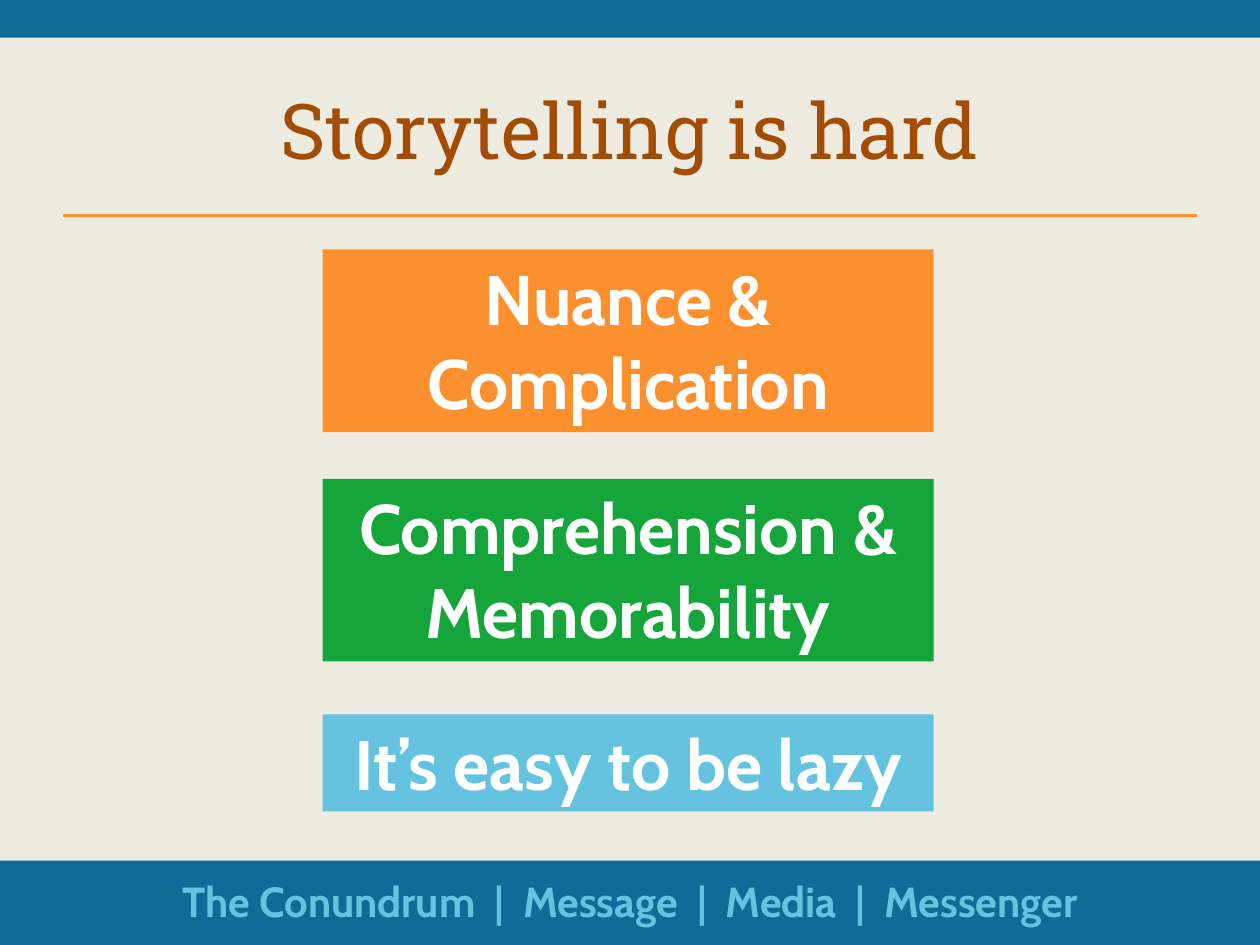
from dataclasses import dataclass

from lxml.etree import SubElement
from pptx import Presentation
from pptx.dml.color import RGBColor
from pptx.enum.shapes import MSO_CONNECTOR, MSO_SHAPE
from pptx.enum.text import MSO_ANCHOR, MSO_AUTO_SIZE, PP_ALIGN
from pptx.oxml.ns import qn
from pptx.util import Inches, Pt

BLUE, ORANGE, GREEN, SKY = "0D6D97", "FD902E", "15A53B", "65C3DF"


@dataclass
class Banner:
    text: str
    top: float
    height: float
    fill: str


BANNERS = [
    Banner("Nuance & Complication", 1.98, 1.45, ORANGE),
    Banner("Comprehension & Memorability", 3.8, 1.45, GREEN),
    Banner("It’s easy to be lazy", 5.67, 0.77, SKY),
]


def rgb(value: str) -> RGBColor:
    return RGBColor.from_string(value)


def box(left: float, top: float, width: float, height: float) -> list:
    return [Inches(v) for v in (left, top, width, height)]


def add_rect(s, left: float, top: float, width: float, height: float, fill: str):
    sp = s.shapes.add_shape(MSO_SHAPE.RECTANGLE, *box(left, top, width, height))
    sp.shadow.inherit = False
    sp.fill.solid()
    sp.fill.fore_color.rgb = rgb(fill)
    sp.line.fill.background()
    return sp


def set_text(sp, text: str, size: int, color: str, font: str = "Cabin",
             bold: bool = True, anchor=MSO_ANCHOR.TOP) -> None:
    tf = sp.text_frame
    tf.word_wrap = True
    tf.vertical_anchor = anchor
    p = tf.paragraphs[0]
    p.text = text
    p.alignment = PP_ALIGN.CENTER
    p.font.name = font
    p.font.size = Pt(size)
    p.font.bold = bold
    p.font.color.rgb = rgb(color)


def add_rule(s, left: float, right: float, y: float) -> None:
    ln = s.shapes.add_connector(
        MSO_CONNECTOR.STRAIGHT, Inches(left), Inches(y), Inches(right), Inches(y))
    ln.line.color.rgb = rgb(ORANGE)
    ln.line.width = Pt(2)
    SubElement(ln._element.spPr, qn("a:effectLst"))


def add_banner(s, banner: Banner) -> None:
    sp = add_rect(s, 2.56, banner.top, 4.85, banner.height, banner.fill)
    set_text(sp, banner.text, 40, "FFFFFF")
    sp.text_frame.auto_size = MSO_AUTO_SIZE.SHAPE_TO_FIT_TEXT


def main() -> None:
    prs = Presentation()
    prs.slide_width, prs.slide_height = Inches(10), Inches(7.5)
    s = prs.slides.add_slide(prs.slide_layouts[5])
    s.background.fill.solid()
    s.background.fill.fore_color.rgb = rgb("EEECE1")

    add_rect(s, 0, 6.83, 10, 0.67, BLUE)
    add_rect(s, 0, 0, 10, 0.3, BLUE)
    add_rule(s, 0.5, 9.5, 1.71)

    title = s.shapes.title
    title.left, title.top, title.width, title.height = box(0.5, 0.5, 9, 1.05)
    set_text(title, "Storytelling is hard", 44, "A34C05", "Roboto Slab", False,
             MSO_ANCHOR.MIDDLE)

    for banner in BANNERS:
        add_banner(s, banner)

    footer = s.shapes.add_textbox(*box(0.5, 6.9, 9, 0.5))
    set_text(footer, "The Conundrum  |  Message  |  Media  |  Messenger", 24, SKY)
    footer.text_frame.auto_size = MSO_AUTO_SIZE.SHAPE_TO_FIT_TEXT

    prs.save("out.pptx")


if __name__ == "__main__":
    main()
